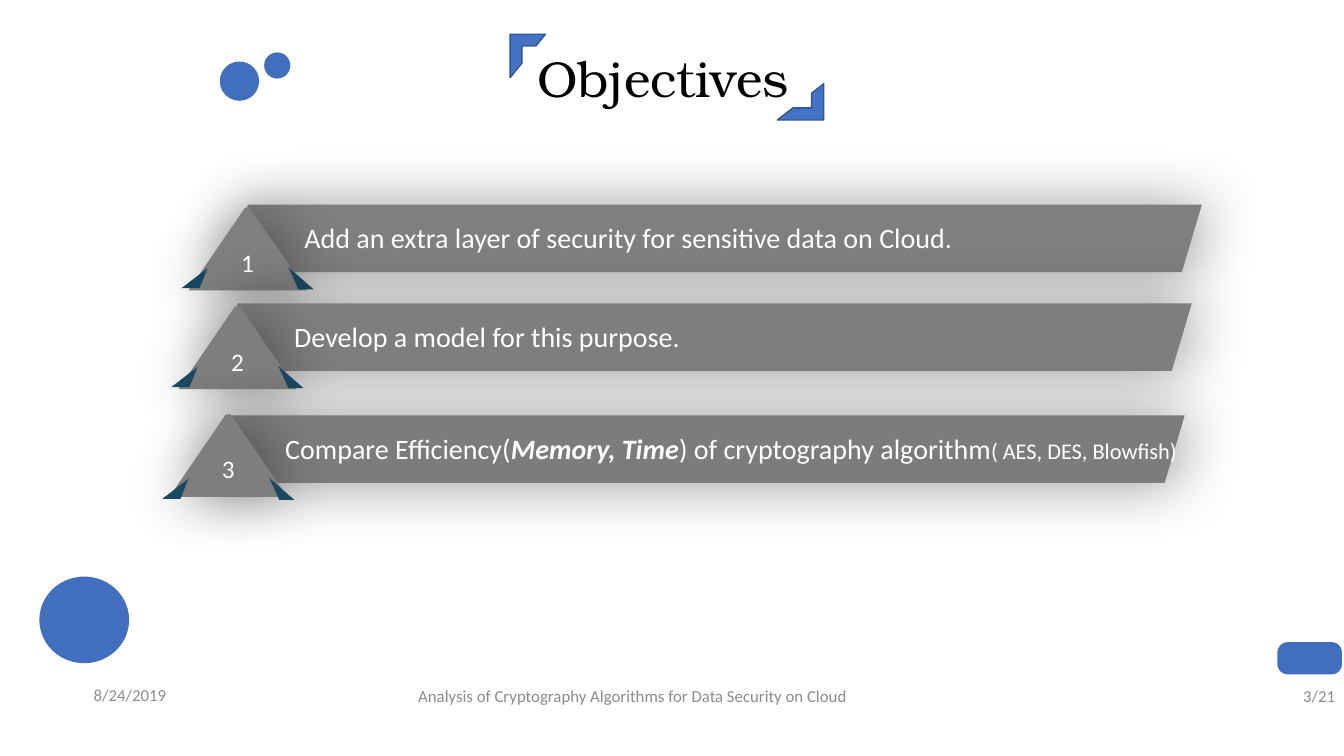
from lxml import etree
from pptx import Presentation
from pptx.dml.color import RGBColor
from pptx.enum.shapes import MSO_SHAPE
from pptx.enum.text import MSO_ANCHOR, MSO_AUTO_SIZE, PP_ALIGN
from pptx.oxml.ns import qn
from pptx.util import Inches, Pt

LEFT, CENTER, RIGHT = PP_ALIGN.LEFT, PP_ALIGN.CENTER, PP_ALIGN.RIGHT
TOP, MIDDLE = MSO_ANCHOR.TOP, MSO_ANCHOR.MIDDLE
FIT, NO_FIT = MSO_AUTO_SIZE.SHAPE_TO_FIT_TEXT, MSO_AUTO_SIZE.NONE
OVAL, HALF_FRAME = MSO_SHAPE.OVAL, MSO_SHAPE.HALF_FRAME
BAR, BADGE = MSO_SHAPE.PARALLELOGRAM, MSO_SHAPE.TRAPEZOID
ROUNDED = MSO_SHAPE.ROUNDED_RECTANGLE

BLUE, DOT_BLUE, DARK_BLUE, FOLD = "4472C4", "426EBE", "325491", "1C4962"
WHITE, BLACK, FOOTER_GRAY = "FFFFFF", "000000", "8C8C8C"

# Corner points of the folds, measured from the badge's left and the bar's top
FOLDS = [
    [(1.09, 0.84), (0.99, 0.62), (1.24, 0.84)],
    [(0.11, 0.83), (0.19, 0.63), (-0.07, 0.83)],
]

# Badge left, bar top, badge offset from bar top, bar width, text width,
# bar colour, badge colour, text runs
OBJECTIVES = [
    (1.87, 2.03, 0.03, 9.66, 9.58, "7F7F7F", "7F7F7F",
     [("Add an extra layer of security for sensitive data on Cloud.", {})]),
    (1.77, 3.01, 0.03, 9.66, 8.74, "7E7E7E", "7E7E7E",
     [("Develop a model for this purpose.", {})]),
    (1.68, 4.12, -0.01, 9.68, 9.58, "7C7C7C", "7E7E7E",
     [("Compare Efficiency(", {}),
      ("Memory, Time", {"bold": True, "italic": True}),
      (") of cryptography algorithm", {}),
      ("( AES, DES, Blowfish)", {"size": 16})]),
]

FOOTERS = [
    (0.83, 6.69, 0.97, "8/24/2019", LEFT),
    (3.97, 6.7, 4.61,
     "Analysis of Cryptography Algorithms for Data Security on Cloud", CENTER),
    (12.5, 6.7, 0.84, "3/21", RIGHT),
]


def rgb(color):
    """Turn a hex string into a colour."""
    return RGBColor.from_string(color)


def box(left, top, width, height):
    """Give a position and size in inches as lengths."""
    return [Inches(v) for v in (left, top, width, height)]


def add_run(p, text, size=20, font="Calibri", color=WHITE, bold=False,
            italic=False):
    """Add a formatted run to a paragraph."""
    r = p.add_run()
    r.text = text
    r.font.size, r.font.name = Pt(size), font
    r.font.bold, r.font.italic = bold, italic
    r.font.color.rgb = rgb(color)


def set_text(sp, runs, align=LEFT, anchor=TOP, wrap=True, fit=NO_FIT, **fmt):
    """Write one paragraph of (text, format) runs into a shape."""
    tf = sp.text_frame
    tf.word_wrap, tf.auto_size, tf.vertical_anchor = wrap, fit, anchor
    p = tf.paragraphs[0]
    p.alignment = align
    for text, run_fmt in runs:
        add_run(p, text, **{**fmt, **run_fmt})


def paint(sp, fill, line=None):
    """Set a shape's fill and outline and remove its shadow."""
    sp.shadow.inherit = False
    sp.fill.solid()
    sp.fill.fore_color.rgb = rgb(fill)
    if line:
        sp.line.color.rgb = rgb(line)
        sp.line.width = Pt(1)
    else:
        sp.line.fill.background()


def add_preset(shapes, kind, at, fill, line=None, adj=None, rotation=0):
    """Add a painted preset shape."""
    sp = shapes.add_shape(kind, *box(*at))
    paint(sp, fill, line)
    sp.rotation = rotation
    if adj is not None:
        sp.adjustments[0] = adj
    return sp


def add_shadow(sp):
    """Give a shape a wide, soft black shadow."""
    effects = sp._element.spPr.find(qn("a:effectLst"))
    shadow = etree.SubElement(
        effects, qn("a:outerShdw"), blurRad=str(Pt(43)), dist=str(Pt(3)),
        dir="0", algn="ctr", rotWithShape="0")
    color = etree.SubElement(shadow, qn("a:srgbClr"), val=BLACK)
    etree.SubElement(color, qn("a:alpha"), val="40000")


def add_fold(shapes, points):
    """Add a dark triangle through points in inches."""
    start, *rest = [(Inches(x), Inches(y)) for x, y in points]
    builder = shapes.build_freeform(*start)
    builder.add_line_segments(rest, close=True)
    paint(builder.convert_to_shape(), FOLD)


def add_objective(slide, number, objective):
    """Add a numbered bar with its badge, folds and text as one group."""
    left, top, drop, bar_w, text_w, bar_color, badge_color, runs = objective
    shapes = slide.shapes.add_group_shape().shapes
    bar = add_preset(shapes, BAR, (left + 0.39, top, bar_w, 0.67), bar_color,
                     adj=0.297, rotation=180)
    badge = add_preset(shapes, BADGE, (left, top + drop, 1.17, 0.82),
                       badge_color, adj=0.685)
    for sp in (bar, badge):
        add_shadow(sp)
    set_text(badge, [(str(number), {})], align=CENTER, anchor=MIDDLE, size=18)
    for fold in FOLDS:
        add_fold(shapes, [(left + x, top + y) for x, y in fold])
    tb = shapes.add_textbox(*box(left + 1.05, top + 0.11, text_w, 0.44))
    set_text(tb, runs, fit=FIT)


def add_title(slide):
    """Place the title between its two corner frames."""
    title = slide.shapes.title
    title.left, title.top, title.width, title.height = box(5.23, 0.42, 2.7, 0.71)
    set_text(title, [("Objectives", {})], wrap=False, fit=FIT, size=36,
             font="TeX Gyre Bonum", color=BLACK)
    add_preset(slide.shapes, HALF_FRAME, (5.06, 0.34, 0.35, 0.43), BLUE,
               DARK_BLUE)
    add_preset(slide.shapes, HALF_FRAME, (7.71, 0.83, 0.46, 0.36), BLUE,
               DARK_BLUE, rotation=180)


def add_footer(slide, left, top, width, text, align):
    """Add a gray footer text."""
    tb = slide.shapes.add_textbox(*box(left, top, width, 0.4))
    set_text(tb, [(text, {})], align=align, anchor=MIDDLE, size=12,
             color=FOOTER_GRAY)


def main():
    """Build the objectives slide and save it."""
    prs = Presentation()
    prs.slide_width, prs.slide_height = Inches(13.33), Inches(7.5)
    slide = prs.slides.add_slide(prs.slide_layouts[5])
    for footer in FOOTERS:
        add_footer(slide, *footer)
    add_title(slide)
    for number, objective in enumerate(OBJECTIVES, 1):
        add_objective(slide, number, objective)
    dots = slide.shapes.add_group_shape().shapes
    add_preset(dots, OVAL, (2.18, 0.61, 0.39, 0.39), DOT_BLUE)
    add_preset(dots, OVAL, (2.62, 0.52, 0.26, 0.26), DOT_BLUE)
    add_preset(slide.shapes, OVAL, (0.39, 5.72, 0.89, 0.86), DOT_BLUE)
    add_preset(slide.shapes, ROUNDED, (12.83, 6.21, 0.32, 0.64), DOT_BLUE,
               adj=0.319, rotation=270)
    prs.save("out.pptx")


main()
